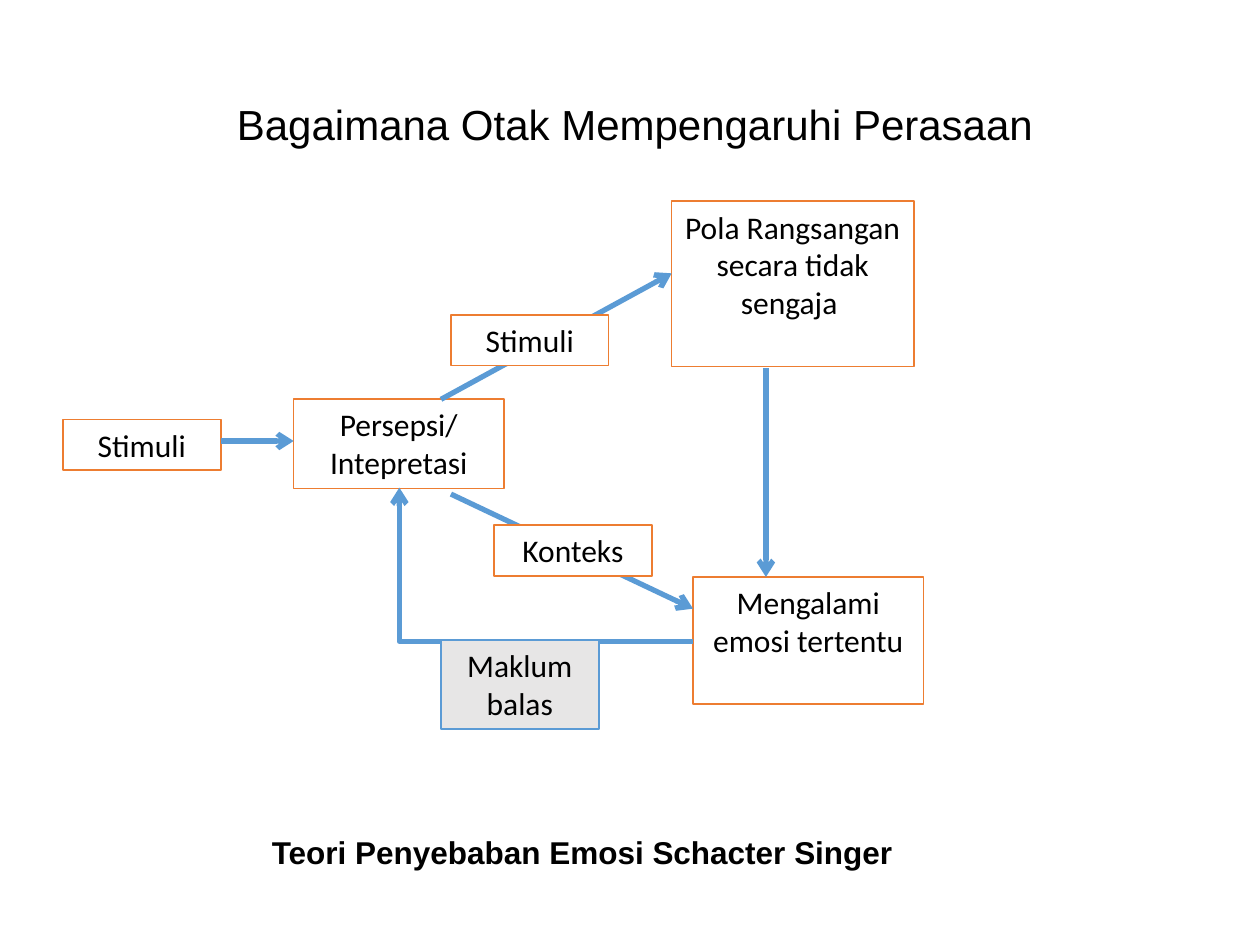
from dataclasses import dataclass

from lxml import etree
from pptx import Presentation
from pptx.dml.color import RGBColor
from pptx.enum.shapes import MSO_CONNECTOR, MSO_SHAPE
from pptx.enum.text import MSO_ANCHOR, PP_ALIGN
from pptx.oxml.ns import qn
from pptx.slide import Slide
from pptx.util import Cm, Pt

RECTANGLE = MSO_SHAPE.RECTANGLE
STRAIGHT, ELBOW = MSO_CONNECTOR.STRAIGHT, MSO_CONNECTOR.ELBOW
TOP, MIDDLE = MSO_ANCHOR.TOP, MSO_ANCHOR.MIDDLE
LEFT, CENTER = PP_ALIGN.LEFT, PP_ALIGN.CENTER

COLORS = {
    "text": "000000",
    "white": "FFFFFF",
    "grey": "E7E6E6",
    "orange": "ED7D31",
    "blue": "5B9BD5",
}


@dataclass
class Box:
    text: str
    left: float
    top: float
    width: float = 3.18
    height: float = 1.02
    fill: str = "white"
    line: str = "orange"


@dataclass
class Arrow:
    x1: float
    y1: float
    x2: float
    y2: float
    bent: bool = False


@dataclass
class Caption:
    text: str
    left: float
    top: float
    width: float
    height: float
    size: int
    bold: bool = False
    anchor: MSO_ANCHOR = TOP
    align: PP_ALIGN = LEFT


STAGES = [
    Box("Stimuli", 1.27, 8.46),
    Box("Persepsi/\nIntepretasi", 5.92, 8.05, 4.24, 1.8),
    Box("Pola Rangsangan secara tidak sengaja ", 13.54, 4.06, 4.88, 3.33),
    Box("Mengalami emosi tertentu", 13.97, 11.63, 4.65, 2.57),
]
ARROWS = [
    Arrow(4.45, 8.89, 5.92, 8.89),
    Arrow(8.89, 8.05, 13.54, 5.51),
    Arrow(9.09, 9.96, 13.97, 12.27),
    Arrow(15.44, 7.42, 15.44, 11.63),
    Arrow(8.05, 9.83, 13.97, 12.93, bent=True),
]
ARROW_LABELS = [
    Box("Stimuli", 9.09, 6.35),
    Box("Konteks", 9.96, 10.59),
    Box("Maklum balas", 8.89, 12.9, height=1.8, fill="grey", line="blue"),
]
CAPTIONS = [
    Caption("Bagaimana Otak Mempengaruhi Perasaan", 0.1, 0.91, 25.4, 3.18, 24,
            anchor=MIDDLE, align=CENTER),
    Caption("Teori Penyebaban Emosi Schacter Singer", 5.23, 16.66, 15.09, 1.8, 18,
            bold=True),
]


def color(name: str) -> RGBColor:
    return RGBColor.from_string(COLORS[name])


def write_text(shape, text: str, font: str, size: int, align: PP_ALIGN,
               anchor: MSO_ANCHOR = TOP, bold: bool = False) -> None:
    frame = shape.text_frame
    frame.word_wrap = True
    frame.vertical_anchor = anchor
    frame.text = text
    for paragraph in frame.paragraphs:
        paragraph.alignment = align
        paragraph.font.name = font
        paragraph.font.size = Pt(size)
        paragraph.font.bold = bold
        paragraph.font.color.rgb = color("text")


def draw_box(slide: Slide, box: Box) -> None:
    shape = slide.shapes.add_shape(
        RECTANGLE, Cm(box.left), Cm(box.top), Cm(box.width), Cm(box.height))
    shape.shadow.inherit = False
    shape.fill.solid()
    shape.fill.fore_color.rgb = color(box.fill)
    shape.line.color.rgb = color(box.line)
    shape.line.width = Pt(1)
    write_text(shape, box.text, "Calibri", 18, CENTER)


def draw_arrow(slide: Slide, arrow: Arrow) -> None:
    connector = slide.shapes.add_connector(
        ELBOW if arrow.bent else STRAIGHT,
        Cm(arrow.x1), Cm(arrow.y1), Cm(arrow.x2), Cm(arrow.y2))
    connector.line.color.rgb = color("blue")
    connector.line.width = Pt(3)
    properties = connector._element.spPr
    if arrow.bent:
        # One corner, turned half round: runs left, then up
        properties.find(qn("a:prstGeom")).set("prst", "bentConnector2")
        properties.find(qn("a:xfrm")).set("rot", "10800000")
    etree.SubElement(properties.find(qn("a:ln")), qn("a:tailEnd"), type="arrow")
    etree.SubElement(properties, qn("a:effectLst"))


def draw_caption(slide: Slide, caption: Caption) -> None:
    shape = slide.shapes.add_textbox(
        Cm(caption.left), Cm(caption.top), Cm(caption.width), Cm(caption.height))
    write_text(shape, caption.text, "Arial", caption.size, caption.align,
               caption.anchor, caption.bold)


def main() -> None:
    presentation = Presentation()
    presentation.slide_width, presentation.slide_height = Cm(25.4), Cm(19.05)
    slide = presentation.slides.add_slide(presentation.slide_layouts[6])

    # Title and theory name
    for caption in CAPTIONS:
        draw_caption(slide, caption)
    # Stages, the arrows between them, and labels lying over the arrows
    for stage in STAGES:
        draw_box(slide, stage)
    for arrow in ARROWS:
        draw_arrow(slide, arrow)
    for label in ARROW_LABELS:
        draw_box(slide, label)

    presentation.save("out.pptx")


if __name__ == "__main__":
    main()
